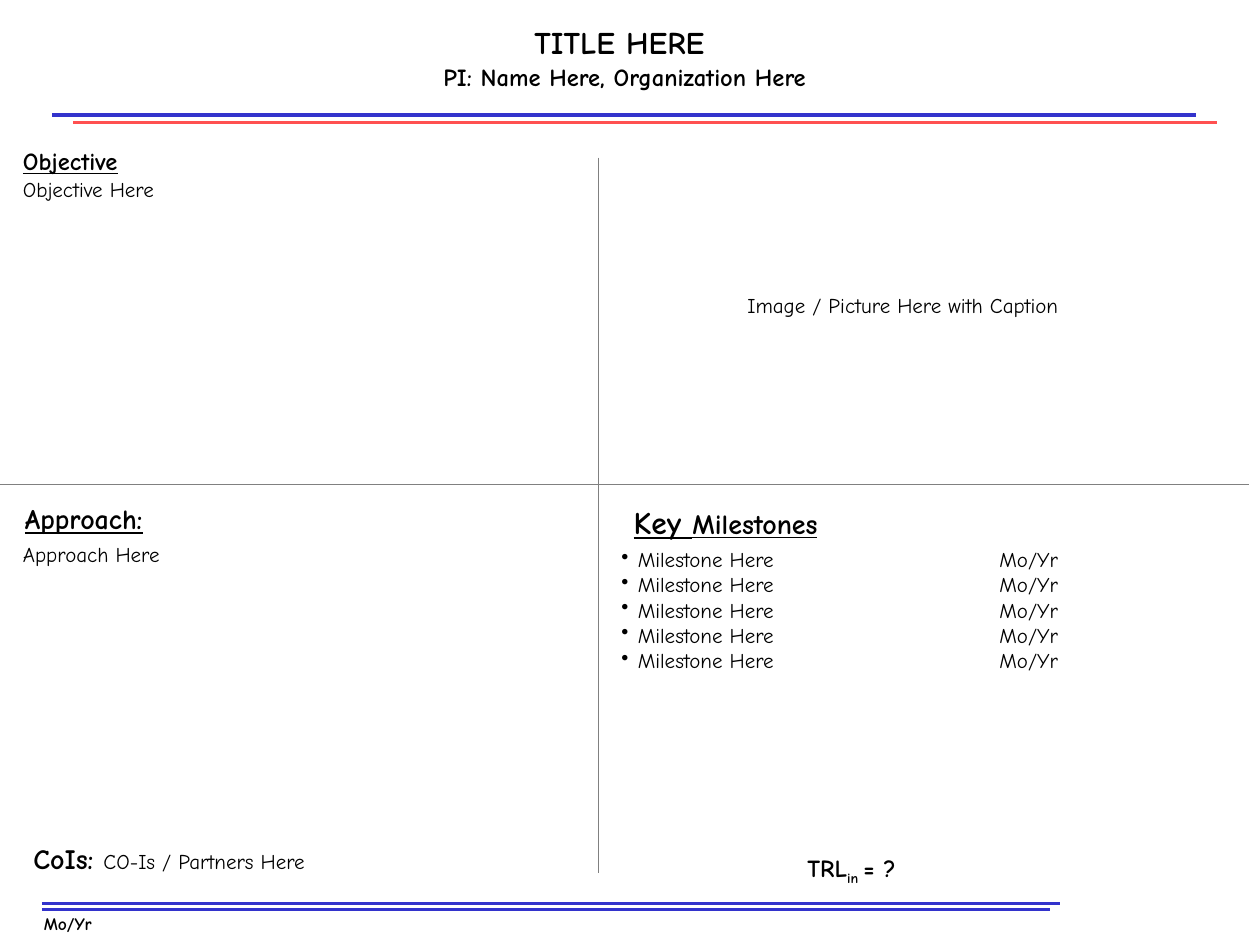
from collections import namedtuple
from lxml.etree import SubElement
from pptx import Presentation
from pptx.dml.color import RGBColor
from pptx.enum.shapes import MSO_CONNECTOR
from pptx.enum.text import MSO_ANCHOR, MSO_AUTO_SIZE, PP_ALIGN
from pptx.oxml.ns import qn
from pptx.util import Pt

BLACK = RGBColor(0x00, 0x00, 0x00)
GRAY = RGBColor(0x80, 0x80, 0x80)
BLUE = RGBColor(0x33, 0x33, 0xCC)
RED = RGBColor(0xFF, 0x50, 0x50)
FACE = "Comic Neue"
HANG = 9.4

Box = namedtuple("Box", "x y w h")


def rule(slide, x1, y1, x2, y2, color, width):
    line = slide.shapes.add_connector(
        MSO_CONNECTOR.STRAIGHT, Pt(x1), Pt(y1), Pt(x2), Pt(y2))
    line.line.color.rgb = color
    line.line.width = Pt(width)
    SubElement(line._element.spPr, qn("a:effectLst"))


def style(para, size, bold=False, under=None):
    font = para.font
    font.name = FACE
    font.size = Pt(size)
    font.bold = bold
    font.underline = under
    font.color.rgb = BLACK


def frame(slide, x, y, w, h, wrap=True, grow=True):
    text = slide.shapes.add_textbox(Pt(x), Pt(y), Pt(w), Pt(h)).text_frame
    text.word_wrap = wrap
    text.auto_size = MSO_AUTO_SIZE.SHAPE_TO_FIT_TEXT if grow else MSO_AUTO_SIZE.NONE
    return text


def label(slide, x, y, w, h, words, size, bold=False, under=None, wrap=True):
    para = frame(slide, x, y, w, h, wrap).paragraphs[0]
    para.text = words
    style(para, size, bold, under)
    return para


def indent(para):
    props = para._p.get_or_add_pPr()
    props.set("marL", str(Pt(HANG)))
    props.set("indent", str(-Pt(HANG)))
    return props


def header(slide, box):
    title = slide.shapes.title
    title.left, title.top = Pt(box.x + 90), Pt(box.y + 8.6)
    title.width, title.height = Pt(528), Pt(30.2)
    text = title.text_frame
    text.text = "TITLE HERE"
    text.vertical_anchor = MSO_ANCHOR.MIDDLE
    text.auto_size = MSO_AUTO_SIZE.NONE
    para = text.paragraphs[0]
    para.alignment = PP_ALIGN.CENTER
    style(para, 18, True)
    para = label(slide, box.x + 174, box.y + 31.7, 366, 24.5,
                 "PI: Name Here, Organization Here", 14, True)
    para.alignment = PP_ALIGN.CENTER
    for x, y, color in ((30, 65.5, BLUE), (42, 70, RED)):
        rule(slide, box.x + x, box.y + y, box.x + x + 653.4, box.y + y, color, 2.25)


def target(slide, box):
    text = frame(slide, box.x + 6, box.y, box.w - 6, box.h, grow=False)
    head, body = text.paragraphs[0], text.add_paragraph()
    head.text, body.text = "Objective", "Objective Here"
    for para in (head, body):
        indent(para)
        para.line_spacing = 0.8
    body.space_before = Pt(3.7)
    style(head, 14, True, True)
    style(body, 12)


def image(slide, box):
    label(slide, box.x + 78, box.y + 80.6, 213, 21.6,
          "Image / Picture Here with Caption", 12)


def method(slide, box):
    label(slide, box.x + 7.2, box.y + 6, 81.4, 26.6,
          "Approach:", 16, True, True, False)
    para = label(slide, box.x + 6, box.y + 30.4, 330, 20, "Approach Here", 12)
    para.line_spacing = 0.9
    para = frame(slide, box.x + 12, box.y + 200.4, 330, 26.6).paragraphs[0]
    indent(para)
    style(para, 16, True)
    para.add_run().text = "CoIs: "
    names = para.add_run()
    names.text = "CO-Is / Partners Here"
    names.font.size = Pt(12)
    names.font.bold = False


def goals(slide, box):
    para = frame(slide, box.x + 13, box.y + 6.7, 119.5, 28.8, False).paragraphs[0]
    style(para, 16, True, True)
    key = para.add_run()
    key.text = "Key "
    key.font.size = Pt(18)
    para.add_run().text = "Milestones"

    text = frame(slide, box.x + 6, box.y + 31.9, 354, 93.6)
    for row in range(5):
        para = text.add_paragraph() if row else text.paragraphs[0]
        para.text = "Milestone Here\t\tMo/Yr"
        props = indent(para)
        tint = SubElement(props, qn("a:buClr"))
        SubElement(tint, qn("a:srgbClr")).set("val", str(BLACK))
        SubElement(props, qn("a:buChar")).set("char", "•")
        tabs = SubElement(props, qn("a:tabLst"))
        for stop in (72, 144, 216):
            tab = SubElement(tabs, qn("a:tab"))
            tab.set("pos", str(Pt(stop)))
            tab.set("algn", "l")
        style(para, 12)

    para = frame(slide, box.x + 112.3, box.y + 206.8, 84.2, 26.6).paragraphs[0]
    style(para, 14, True)
    for words, base in (("TRL", 0), ("in ", -25000), ("= ?", 0)):
        run = para.add_run()
        run.text = words
        if base:
            run._r.get_or_add_rPr().set("baseline", str(base))


def footer(slide, box):
    for y, w in ((4.2, 582), (7.8, 576)):
        rule(slide, box.x + 24, box.y + y, box.x + 24 + w, box.y + y, BLUE, 2)
    label(slide, box.x + 18, box.y + 6.4, 52.6, 19.4, "Mo/Yr", 10, True)


def main():
    deck = Presentation()
    deck.slide_width, deck.slide_height = Pt(720), Pt(540)
    slide = deck.slides.add_slide(deck.slide_layouts[5])
    top, mid, low, half = 83, 277, 512, 342
    rule(slide, half, 90, half, 499, GRAY, 0.75)
    rule(slide, -6, mid, 714, mid, GRAY, 0.75)
    header(slide, Box(0, 0, 720, top))
    target(slide, Box(0, top, half, mid - top))
    image(slide, Box(half, top, 720 - half, mid - top))
    method(slide, Box(0, mid, half, low - mid))
    goals(slide, Box(half, mid, 720 - half, low - mid))
    footer(slide, Box(0, low, 720, 540 - low))
    deck.save("out.pptx")


if __name__ == "__main__":
    main()
